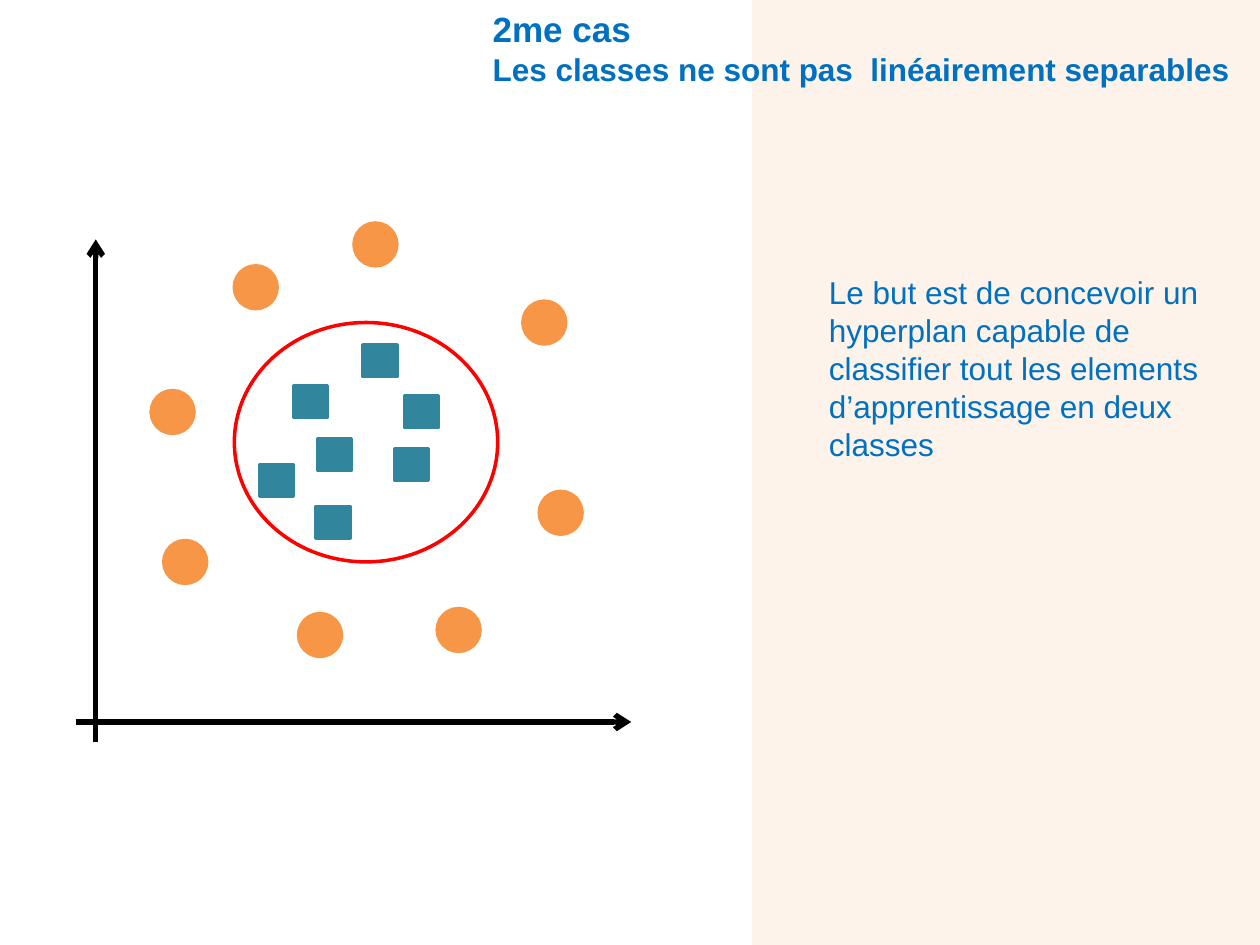
from lxml.etree import SubElement
from pptx import Presentation
from pptx.dml.color import RGBColor
from pptx.enum.shapes import MSO_CONNECTOR, MSO_SHAPE
from pptx.enum.text import MSO_ANCHOR, MSO_AUTO_SIZE, PP_ALIGN
from pptx.oxml.ns import qn
from pptx.util import Inches, Pt

BLUE = RGBColor(0x00, 0x70, 0xC0)
CREAM = RGBColor(0xFD, 0xEA, 0xDA)
TEAL = RGBColor(0x31, 0x85, 0x9C)
ORANGE = RGBColor(0xF7, 0x96, 0x46)
RED = RGBColor(0xFF, 0x00, 0x00)
BLACK = RGBColor(0x00, 0x00, 0x00)

presentation = Presentation()
presentation.slide_width = Inches(10)
presentation.slide_height = Inches(7.5)
slide = presentation.slides.add_slide(presentation.slide_layouts[5])
shapes = slide.shapes


def add_figure(kind, left, top, width, height, fill=None, line=None):
    shape = shapes.add_shape(
        kind, Inches(left), Inches(top), Inches(width), Inches(height)
    )
    shape.shadow.inherit = False
    if fill is None:
        shape.fill.background()
    else:
        shape.fill.solid()
        shape.fill.fore_color.rgb = fill
    if line is None:
        shape.line.fill.background()
    else:
        shape.line.color.rgb = line
        shape.line.width = Pt(2)
    return shape


def write_text(shape, lines, sizes, bold):
    frame = shape.text_frame
    frame.text = "\n".join(lines)
    frame_format = {
        "word_wrap": True,
        "auto_size": MSO_AUTO_SIZE.NONE,
        "vertical_anchor": MSO_ANCHOR.TOP,
    }
    for name, value in frame_format.items():
        setattr(frame, name, value)
    for paragraph, size in zip(frame.paragraphs, sizes):
        paragraph.alignment = PP_ALIGN.LEFT
        paragraph.font.color.rgb = BLUE
        font_format = {"name": "Arial", "size": Pt(size), "bold": bold}
        for name, value in font_format.items():
            setattr(paragraph.font, name, value)


panel = add_figure(MSO_SHAPE.RECTANGLE, 5.97, 0, 4.03, 7.5, CREAM)
panel_color = panel.element.spPr.find(qn("a:solidFill"))[0]
SubElement(panel_color, qn("a:alpha"), val="54000")

axes = [(0.6, 5.73, 5.01, 5.73), (0.76, 5.89, 0.76, 1.9)]
for ends in axes:
    axis = shapes.add_connector(MSO_CONNECTOR.STRAIGHT, *map(Inches, ends))
    axis.line.color.rgb = BLACK
    axis.line.width = Pt(3)
    SubElement(axis.line._get_or_add_ln(), qn("a:tailEnd"), type="arrow")
    SubElement(axis.element.spPr, qn("a:effectLst"))

goal = shapes.add_textbox(Inches(6.48), Inches(2.12), Inches(3.54), Inches(1.62))
goal_text = (
    "Le but est de concevoir un hyperplan capable de classifier "
    "tout les elements d’apprentissage en deux classes"
)
write_text(goal, [goal_text], [18], False)

square_positions = [
    (2.06, 3.69), (2.88, 2.74), (2.52, 3.48), (3.21, 3.14),
    (2.33, 3.06), (3.13, 3.56), (2.51, 4.02),
]
for left, top in square_positions:
    add_figure(MSO_SHAPE.RECTANGLE, left, top, 0.27, 0.25, TEAL, TEAL)

circle_positions = [
    (1.2, 3.1), (4.28, 3.9), (1.3, 4.29), (2.37, 4.87),
    (3.47, 4.83), (2.81, 1.77), (4.15, 2.39), (1.86, 2.11),
]
for left, top in circle_positions:
    add_figure(MSO_SHAPE.OVAL, left, top, 0.34, 0.34, ORANGE, ORANGE)

title = shapes.title
title_place = {"left": 3.81, "top": 0.01, "width": 6.17, "height": 0.74}
for name, value in title_place.items():
    setattr(title, name, Inches(value))
title_lines = ["2me cas", "Les classes ne sont pas  linéairement separables"]
write_text(title, title_lines, [20, 18], True)
shapes.element.append(title.element)

add_figure(MSO_SHAPE.OVAL, 1.86, 2.56, 2.09, 1.9, line=RED)

presentation.save("out.pptx")
